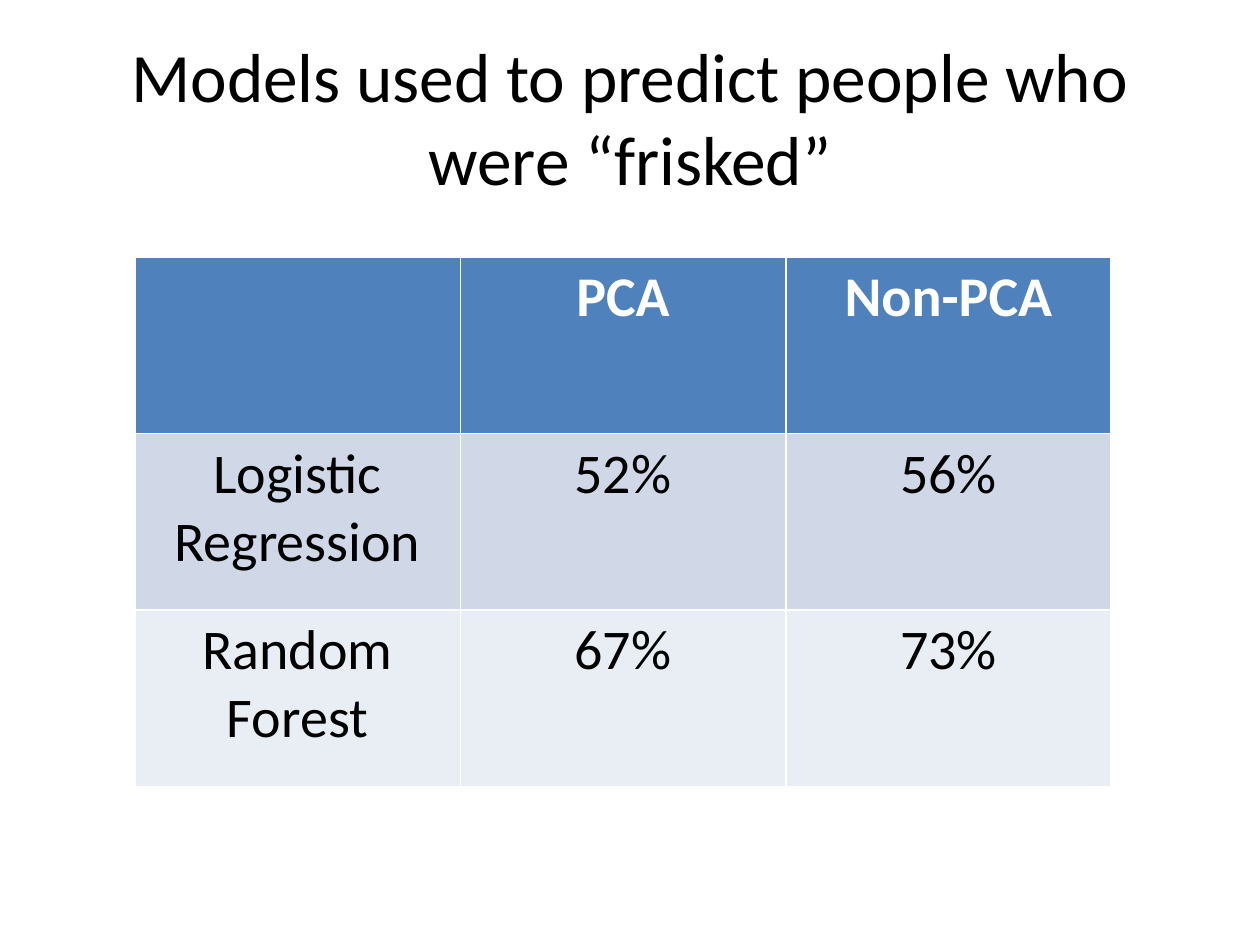
from pptx import Presentation
from pptx.dml.color import RGBColor
from pptx.enum.text import MSO_ANCHOR, MSO_AUTO_SIZE, PP_ALIGN
from pptx.util import Inches, Pt

TITLE = "Models used to predict people who were “frisked”"
RESULTS = [
    ("", "PCA", "Non-PCA"),
    ("Logistic Regression", "52%", "56%"),
    ("Random Forest", "67%", "73%"),
]
COLORS = {"header": "4F81BD", "odd": "D0D8E8", "even": "E9EDF4",
          "light": "FFFFFF", "dark": "000000"}
ROW_FILLS = ("header", "odd", "even")
FONT = "Calibri"


def format_paragraph(para, size, color, bold=False):
    para.alignment = PP_ALIGN.CENTER
    para.font.name = FONT
    para.font.size = Pt(size)
    para.font.bold = bold
    para.font.color.rgb = RGBColor.from_string(COLORS[color])


def add_title(page):
    title = page.shapes.title
    title.left, title.top = Inches(0.5), Inches(0.3)
    title.width, title.height = Inches(9), Inches(1.25)
    frame = title.text_frame
    frame.text = TITLE
    frame.word_wrap = True
    frame.auto_size = MSO_AUTO_SIZE.NONE
    frame.vertical_anchor = MSO_ANCHOR.MIDDLE
    format_paragraph(frame.paragraphs[0], 39.6, "dark")


def add_results(page):
    table = page.shapes.add_table(
        len(RESULTS), len(RESULTS[0]),
        Inches(1.07), Inches(2.04), Inches(7.75), Inches(4.2)).table
    for row, (values, fill) in enumerate(zip(RESULTS, ROW_FILLS)):
        is_header = row == 0
        for column, value in enumerate(values):
            cell = table.cell(row, column)
            cell.text = value
            cell.fill.solid()
            cell.fill.fore_color.rgb = RGBColor.from_string(COLORS[fill])
            format_paragraph(cell.text_frame.paragraphs[0], 32,
                             "light" if is_header else "dark", is_header)


def main():
    deck = Presentation()
    deck.slide_width, deck.slide_height = Inches(10), Inches(7.5)
    page = deck.slides.add_slide(deck.slide_layouts[5])
    add_title(page)
    add_results(page)
    deck.save("out.pptx")


if __name__ == "__main__":
    main()
